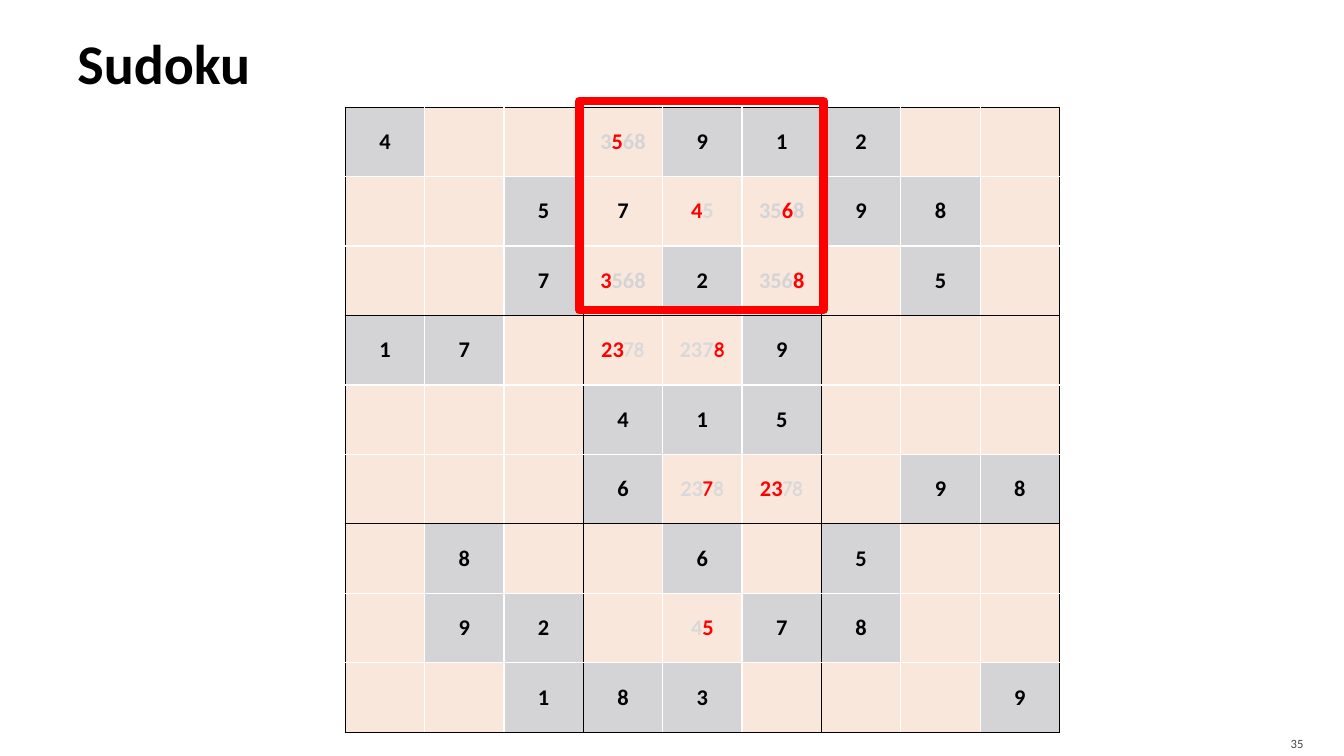
import lxml.etree
import pptx
import pptx.dml.color
import pptx.enum.shapes
import pptx.enum.text
import pptx.oxml.ns
import pptx.util

Cm = pptx.util.Cm
Pt = pptx.util.Pt
ALIGN = pptx.enum.text.PP_ALIGN
MIDDLE = pptx.enum.text.MSO_ANCHOR.MIDDLE

BLACK, WHITE, RED = "000000", "FFFFFF", "FF0000"
GREY, PALE_GREY, PEACH = "D4D4D6", "D9D9D9", "FAE7DC"

# "." is empty, a digit is given, "=" marks a solved digit.
# Candidate runs are split by "|": "!" is red, "~" is the second font.
PUZZLE = """
4 . .  3|!5|68 9 1             2 . .
. . 5  =7 !4|5 35|!6|8         9 8 .
. . 7  !3|568 2 356|!8         . 5 .
1 7 .  !23|~78 237|~!8 9       . . .
. . .  4 1 5                   . . .
. . .  6 23|~!7|~8 !23|~78     . 9 8
. 8 .  . 6 .                   5 . .
. 9 2  . 4|!5 7                8 . .
. . 1  8 3 .                   . . 9
"""


def color(value):
    return pptx.dml.color.RGBColor.from_string(value)


def add_element(parent, tag, **attributes):
    return lxml.etree.SubElement(parent, pptx.oxml.ns.qn(tag), attributes)


class SlideBuilder:
    main_font = "Calibri"
    second_font = "Comic Neue"

    def __init__(self, presentation):
        self.slide = presentation.slides.add_slide(presentation.slide_layouts[5])

    def add_run(self, paragraph, text, size, fill=BLACK, bold=True, name=main_font):
        run = paragraph.add_run()
        run.text = text
        formats = {"name": name, "size": Pt(size), "bold": bold}
        for attribute, value in formats.items():
            setattr(run.font, attribute, value)
        run.font.color.rgb = color(fill)

    def set_frame(self, frame, left, top, right, bottom):
        formats = {
            "margin_left": Cm(left), "margin_top": Cm(top),
            "margin_right": Cm(right), "margin_bottom": Cm(bottom),
            "vertical_anchor": MIDDLE, "word_wrap": True,
            "auto_size": pptx.enum.text.MSO_AUTO_SIZE.NONE,
        }
        for attribute, value in formats.items():
            setattr(frame, attribute, value)

    def add_title(self, text, left, top, width, height):
        title = self.slide.shapes.title
        box = {"left": left, "top": top, "width": width, "height": height}
        for attribute, value in box.items():
            setattr(title, attribute, Cm(value))
        self.set_frame(title.text_frame, 0.25, 0.13, 0.13, 0.13)
        paragraph = title.text_frame.paragraphs[0]
        paragraph.alignment = ALIGN.LEFT
        self.add_run(paragraph, text, 40)

    def add_page_number(self, text, left, top, width, height):
        box = self.slide.shapes.add_textbox(Cm(left), Cm(top), Cm(width), Cm(height))
        self.set_frame(box.text_frame, 0.25, 0.13, 0.25, 0)
        paragraph = box.text_frame.paragraphs[0]
        paragraph.alignment = ALIGN.RIGHT
        self.add_run(paragraph, text, 9, "454545", bold=False)

    def set_borders(self, cell, row, column):
        # Edges of the 3 by 3 blocks are black, inner edges white
        block_edges = {
            "a:lnL": column % 3 == 0, "a:lnR": column % 3 == 2,
            "a:lnT": row % 3 == 0, "a:lnB": row % 3 == 2,
        }
        properties = cell._tc.get_or_add_tcPr()
        for tag, is_block_edge in block_edges.items():
            line = add_element(properties, tag, w=str(Pt(1)))
            fill = add_element(line, "a:solidFill")
            add_element(fill, "a:srgbClr", val=BLACK if is_block_edge else WHITE)

    def fill_cell(self, cell, entry):
        cell.vertical_anchor = MIDDLE
        cell.fill.solid()
        cell.fill.fore_color.rgb = color(GREY if entry.isdigit() else PEACH)
        paragraph = cell.text_frame.paragraphs[0]
        paragraph.alignment = ALIGN.CENTER
        if entry == ".":
            return
        if entry.isdigit() or entry.startswith("="):
            self.add_run(paragraph, entry.strip("="), 16)
            return
        digits = "".join(filter(str.isdigit, entry))
        faded = GREY if digits == "3568" else PALE_GREY
        for part in entry.split("|"):
            name = self.second_font if "~" in part else self.main_font
            fill = RED if "!" in part else faded
            self.add_run(paragraph, part.strip("~!"), 16, fill, name=name)

    def add_sudoku(self, rows, left, top, cell_width, cell_height):
        count = len(rows)
        table = self.slide.shapes.add_table(
            count, count, Cm(left), Cm(top),
            Cm(count * cell_width), Cm(count * cell_height)).table
        table.first_row = table.horz_banding = False
        for row, entries in enumerate(rows):
            table.rows[row].height = Cm(cell_height)
            table.columns[row].width = Cm(cell_width)
            for column, entry in enumerate(entries):
                cell = table.cell(row, column)
                self.set_borders(cell, row, column)
                self.fill_cell(cell, entry)

    def add_frame(self, left, top, width, height):
        frame = self.slide.shapes.add_shape(
            pptx.enum.shapes.MSO_SHAPE.RECTANGLE,
            Cm(left), Cm(top), Cm(width), Cm(height))
        frame.shadow.inherit = False
        frame.fill.background()
        frame.line.color.rgb = color(RED)
        frame.line.width = Pt(6)
        add_element(frame.line._get_or_add_ln(), "a:round")


def main():
    presentation = pptx.Presentation()
    presentation.slide_width = Cm(33.87)
    presentation.slide_height = Cm(19.05)
    builder = SlideBuilder(presentation)

    # Title and page number
    builder.add_title("Sudoku", 1.7, 0.2, 30.48, 2.74)
    builder.add_page_number("35", 30.38, 18.29, 2.72, 0.76)

    # Puzzle grid
    rows = [line.split() for line in PUZZLE.strip().splitlines()]
    builder.add_sudoku(rows, 8.7, 2.7, 2, 1.75)

    # Highlighted block
    builder.add_frame(14.6, 2.54, 6.15, 5.28)

    presentation.save("out.pptx")


if __name__ == "__main__":
    main()
